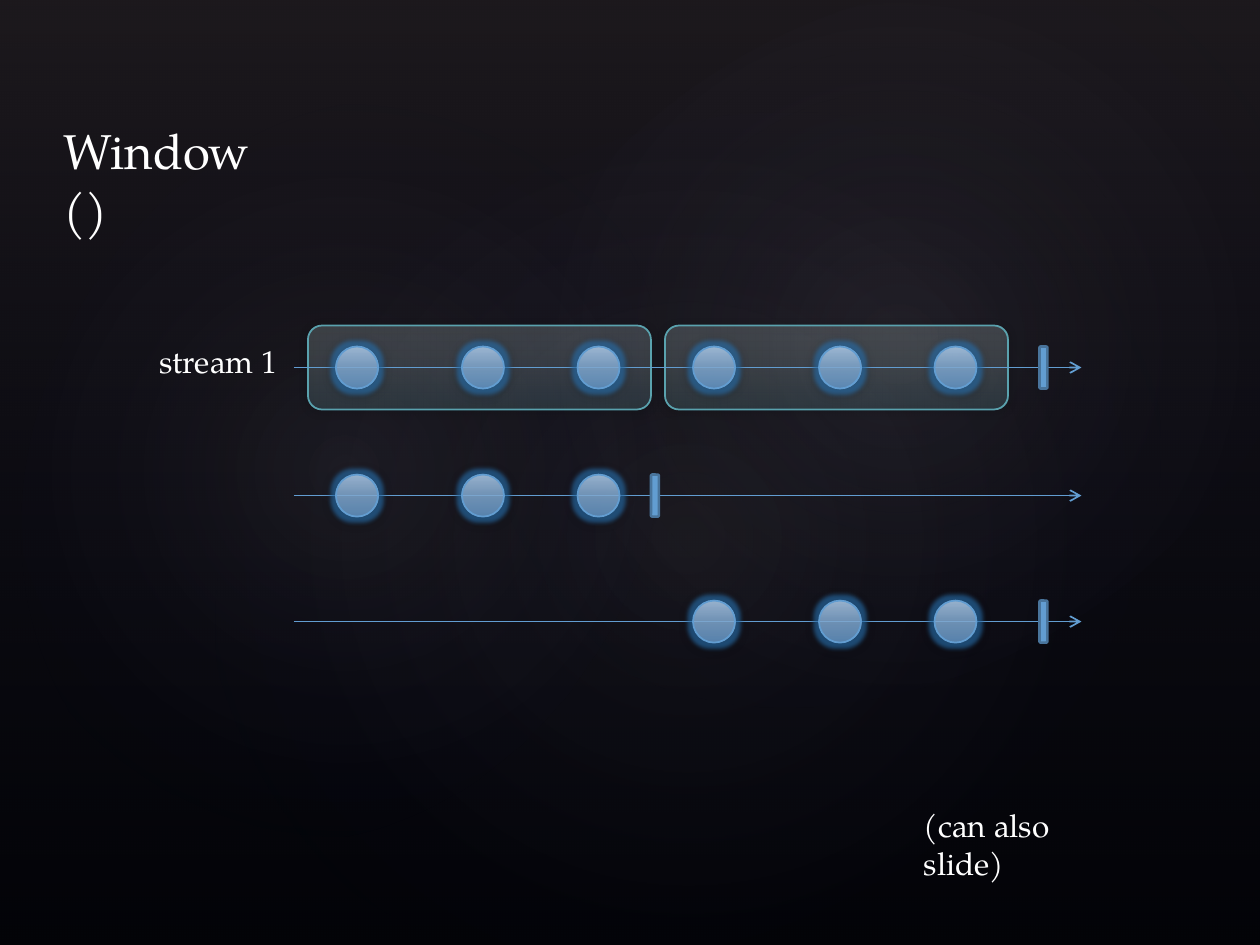
from dataclasses import dataclass

import pptx
import pptx.dml.color
import pptx.enum.shapes
import pptx.enum.text
import pptx.oxml
import pptx.oxml.ns
import pptx.util
from pptx.shapes.autoshape import Shape
from pptx.slide import Slide

SHAPES = pptx.enum.shapes.MSO_SHAPE
UNIT = pptx.util.Inches(10) // 120  # one grid step: 120 columns by 90 rows
FONT = "TeX Gyre Pagella"
COLORS = {
    "background": "000000",
    "text": "FFFFFF",
    "stream": "629DD1",
    "end_line": "49749B",
    "panel_line": "5AA2AE",
    "glow": "2A75B5",
}


@dataclass(frozen=True)
class Gradient:
    """Stops are (position %, hex color, opacity %); no angle means radial."""
    stops: tuple[tuple[int, str, int], ...]
    angle: int | None = None


@dataclass(frozen=True)
class Halo:
    column: float
    row: float
    columns: float
    rows: float
    rotation: float
    opacity: int


@dataclass(frozen=True)
class Stream:
    row: float
    windows: tuple[int, ...]
    end_column: float


@dataclass(frozen=True)
class Label:
    text: str
    column: float
    row: float
    columns: float
    rows: float
    size: int
    wrap: bool = True


BACKDROP = Gradient(((0, "504652", 36), (100, "242852", 10)), 90)
PANEL = Gradient(((0, "7AAEB8", 20), (48, "B9D7DD", 20), (100, "DDF2F6", 20)), 270)
EVENT = Gradient(((0, "7FAAD6", 58), (48, "B8D1F0", 52), (100, "DCEBFF", 65)), 270)

HALOS = (
    Halo(18, 13.7, 95, 74.9, 328.7, 7),
    Halo(-3.6, 15.4, 72.7, 58.8, 294.3, 8),
    Halo(43, 1.6, 85.1, 62.4, 328.7, 8),
)
STREAMS = (
    Stream(35, (0, 1), 99),
    Stream(47.2, (0,), 62),
    Stream(59.2, (1,), 99),
)
TITLE = Label("Window ()", 4.8, 10.9, 23.5, 6.8, 28)
LABELS = (
    Label("stream 1", 14, 32, 13.8, 4.8, 18, wrap=False),
    Label("(can also slide)", 86.8, 76.2, 21.5, 4.8, 18),
)
WINDOW_STEP = 34
EVENT_COLUMNS = (32, 44, 55)
EVENT_SIZE = 4
STREAM_START, STREAM_END = 28, 103


def grid(steps: float) -> int:
    return round(steps * UNIT)


def color(name: str) -> pptx.dml.color.RGBColor:
    return pptx.dml.color.RGBColor.from_string(COLORS[name])


def xml(tag: str, body: str = "", attributes: str = ""):
    namespace = pptx.oxml.ns.nsdecls("a")
    return pptx.oxml.parse_xml(f"<a:{tag} {namespace} {attributes}>{body}</a:{tag}>")


def color_xml(value: str, opacity: int) -> str:
    return f'<a:srgbClr val="{value}"><a:alpha val="{opacity * 1000}"/></a:srgbClr>'


def add_block(slide: Slide, kind, column: float, row: float, columns: float,
              rows: float, fill: Gradient | str, line: str | None = None,
              line_width: float = 1) -> Shape:
    shape = slide.shapes.add_shape(
        kind, grid(column), grid(row), grid(columns), grid(rows))
    shape.shadow.inherit = False
    if isinstance(fill, Gradient):
        set_gradient(shape, fill)
    else:
        shape.fill.solid()
        shape.fill.fore_color.rgb = color(fill)
    if line:
        shape.line.color.rgb = color(line)
        shape.line.width = pptx.util.Pt(line_width)
    else:
        shape.line.fill.background()
    return shape


def set_gradient(shape: Shape, gradient: Gradient) -> None:
    stops = "".join(f'<a:gs pos="{position * 1000}">{color_xml(value, opacity)}</a:gs>'
                    for position, value, opacity in gradient.stops)
    if gradient.angle is None:
        direction = ('<a:path path="circle"><a:fillToRect l="50000" t="50000" '
                     'r="50000" b="50000"/></a:path>')
    else:
        direction = f'<a:lin ang="{gradient.angle * 60000}" scaled="0"/>'
    fill = xml("gradFill", f"<a:gsLst>{stops}</a:gsLst>{direction}", 'rotWithShape="1"')
    geometry = shape.element.spPr.find(pptx.oxml.ns.qn("a:prstGeom"))
    geometry.addnext(fill)


def add_effects(shape: Shape, glow: bool = False) -> None:
    effects = shape.element.spPr.find(pptx.oxml.ns.qn("a:effectLst"))
    if glow:
        effects.append(xml("glow", color_xml(COLORS["glow"], 60),
                           f'rad="{pptx.util.Pt(5)}"'))
    effects.append(xml(
        "outerShdw", color_xml("000000", 32),
        f'blurRad="{pptx.util.Pt(5)}" dist="{pptx.util.Pt(1)}" dir="5400000" '
        'rotWithShape="0"'))


def set_text(shape: Shape, label: Label) -> None:
    shape.left, shape.top = grid(label.column), grid(label.row)
    shape.width, shape.height = grid(label.columns), grid(label.rows)
    frame = shape.text_frame
    frame.text = label.text
    frame.word_wrap = label.wrap
    frame.auto_size = pptx.enum.text.MSO_AUTO_SIZE.NONE
    frame.vertical_anchor = pptx.enum.text.MSO_ANCHOR.TOP
    paragraph = frame.paragraphs[0]
    paragraph.alignment = pptx.enum.text.PP_ALIGN.LEFT
    font = paragraph.runs[0].font
    font.name, font.size = FONT, pptx.util.Pt(label.size)
    font.color.rgb = color("text")


def add_backdrop(slide: Slide) -> None:
    slide.background.fill.solid()
    slide.background.fill.fore_color.rgb = color("background")
    add_block(slide, SHAPES.RECTANGLE, 0, 0, 120, 90, BACKDROP)
    for halo in HALOS:
        fill = Gradient(((0, "C4BCC6", halo.opacity), (58, "242852", 0)))
        shape = add_block(slide, SHAPES.OVAL, halo.column, halo.row,
                          halo.columns, halo.rows, fill)
        shape.rotation = halo.rotation


def add_stream(slide: Slide, stream: Stream) -> None:
    """Draw a timeline with its end mark and the events of its windows."""
    line = slide.shapes.add_connector(
        pptx.enum.shapes.MSO_CONNECTOR.STRAIGHT,
        grid(STREAM_START), grid(stream.row), grid(STREAM_END), grid(stream.row))
    line.line.color.rgb = color("stream")
    line.line.width = pptx.util.Pt(1)
    line.line._get_or_add_ln().append(xml("tailEnd", attributes='type="arrow"'))
    line.element.spPr.append(xml("effectLst"))
    top = stream.row - EVENT_SIZE / 2
    add_block(slide, SHAPES.ROUNDED_RECTANGLE, stream.end_column, top, 0.75,
              EVENT_SIZE, "stream", "end_line", 1.5)
    for window in stream.windows:
        for column in EVENT_COLUMNS:
            event = add_block(slide, SHAPES.OVAL, column + window * WINDOW_STEP, top,
                              EVENT_SIZE, EVENT_SIZE, EVENT, "stream")
            add_effects(event, glow=True)


def main() -> None:
    presentation = pptx.Presentation()
    presentation.slide_width, presentation.slide_height = grid(120), grid(90)
    slide = presentation.slides.add_slide(presentation.slide_layouts[5])
    add_backdrop(slide)
    for window in (1, 0):
        panel = add_block(slide, SHAPES.ROUNDED_RECTANGLE, 29.33 + window * WINDOW_STEP,
                          31, 32.67, 8, PANEL, "panel_line")
        add_effects(panel)
    title = slide.shapes.title
    set_text(title, TITLE)
    slide.shapes.element.append(title.element)  # in front of the backdrop
    for stream in STREAMS:
        add_stream(slide, stream)
    for label in LABELS:
        set_text(slide.shapes.add_textbox(0, 0, 0, 0), label)
    presentation.save("out.pptx")


if __name__ == "__main__":
    main()
